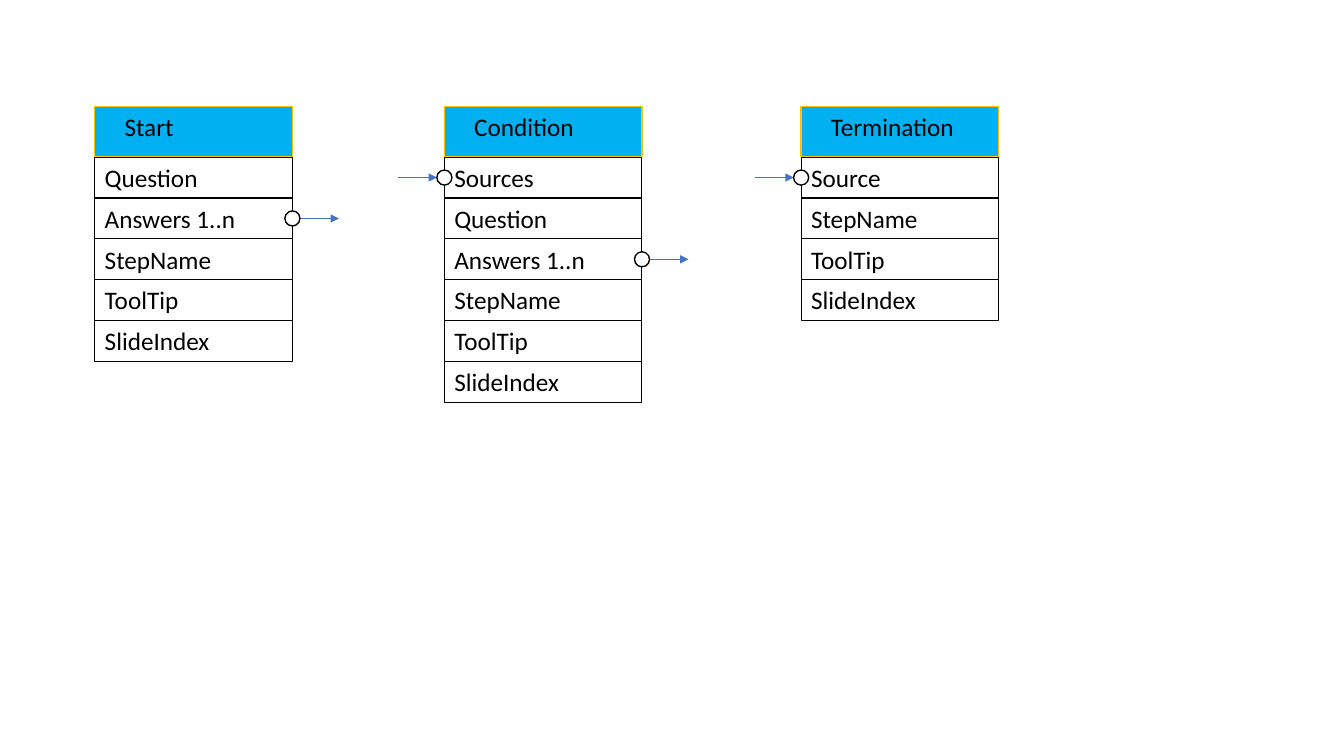
from lxml.etree import SubElement
from pptx import Presentation
from pptx.dml.color import RGBColor
from pptx.enum.shapes import MSO_CONNECTOR, MSO_SHAPE
from pptx.enum.text import MSO_ANCHOR, PP_ALIGN
from pptx.oxml.ns import qn
from pptx.util import Cm, Pt

TOP, WIDTH = 2.69, 4.98
HEAD, ROW = 1.25, 1.03
GAP = 0.02
DOT, ARROW = 0.38, 0.98

# Each step: left edge, title, rows, row with an input, row with an output
STEPS = [
    (2.39, "Start",
     ["Question", "Answers 1..n", "StepName", "ToolTip", "SlideIndex"],
     None, 1),
    (11.2, "Condition",
     ["Sources", "Question", "Answers 1..n", "StepName", "ToolTip",
      "SlideIndex"],
     0, 2),
    (20.19, "Termination",
     ["Source", "StepName", "ToolTip", "SlideIndex"],
     0, None),
]


def color(code):
    """Turn a hex string into a colour."""
    return RGBColor.from_string(code)


def write(shape, text):
    """Put one line of black, left-aligned text in a shape."""
    frame = shape.text_frame
    frame.word_wrap = True
    frame.vertical_anchor = MSO_ANCHOR.TOP
    para = frame.paragraphs[0]
    para.text = text
    para.alignment = PP_ALIGN.LEFT
    para.font.name = "Calibri"
    para.font.size = Pt(18)
    para.font.color.rgb = color("000000")


def draw(shapes, kind, box, fill, line, weight):
    """Add a flat preset shape; box is left, top, width, height in cm."""
    shape = shapes.add_shape(kind, *map(Cm, box))
    shape.shadow.inherit = False
    if fill:
        shape.fill.solid()
        shape.fill.fore_color.rgb = color(fill)
    else:
        shape.fill.background()
    shape.line.color.rgb = color(line)
    shape.line.width = Pt(weight)
    return shape


def arrow(shapes, start, end, y):
    """Add a thin level arrow from start to end."""
    link = shapes.add_connector(
        MSO_CONNECTOR.STRAIGHT, Cm(start), Cm(y), Cm(end), Cm(y))
    link.line.color.rgb = color("4472C4")
    link.line.width = Pt(0.5)
    props = link._element.spPr
    SubElement(props.find(qn("a:ln")), qn("a:tailEnd"), type="triangle")
    SubElement(props, qn("a:effectLst"))


def port(shapes, x, y, inward):
    """Add a round port centred on x, y with its arrow."""
    half = DOT / 2
    if inward:
        arrow(shapes, x - half - ARROW, x - half, y)
    else:
        arrow(shapes, x + half, x + half + ARROW, y)
    draw(shapes, MSO_SHAPE.OVAL, (x - half, y - half, DOT, DOT),
         "FFFFFF", "000000", 1)


def step(slide, left, top, title, rows, source, answer):
    """Add one step: header, rows and ports, as a group."""
    shapes = slide.shapes.add_group_shape().shapes
    draw(shapes, MSO_SHAPE.RECTANGLE, (left, top, WIDTH, HEAD),
         "00B0F0", "FFC000", 1)
    label = shapes.add_textbox(
        Cm(left + 0.5), Cm(top), Cm(WIDTH - 0.7), Cm(ROW))
    write(label, title)

    first = top + HEAD + GAP
    for index, name in enumerate(rows):
        box = (left, first + index * ROW, WIDTH, ROW)
        cell = draw(shapes, MSO_SHAPE.RECTANGLE, box, None, "000000", 0.75)
        write(cell, name)

    for index, x, inward in ((source, left, True),
                             (answer, left + WIDTH, False)):
        if index is not None:
            port(shapes, x, first + (index + 0.5) * ROW, inward)


def main():
    """Build and save the slide."""
    deck = Presentation()
    deck.slide_width, deck.slide_height = Cm(33.87), Cm(19.05)
    slide = deck.slides.add_slide(deck.slide_layouts[6])
    for left, *parts in STEPS:
        step(slide, left, TOP, *parts)
    deck.save("out.pptx")


main()
